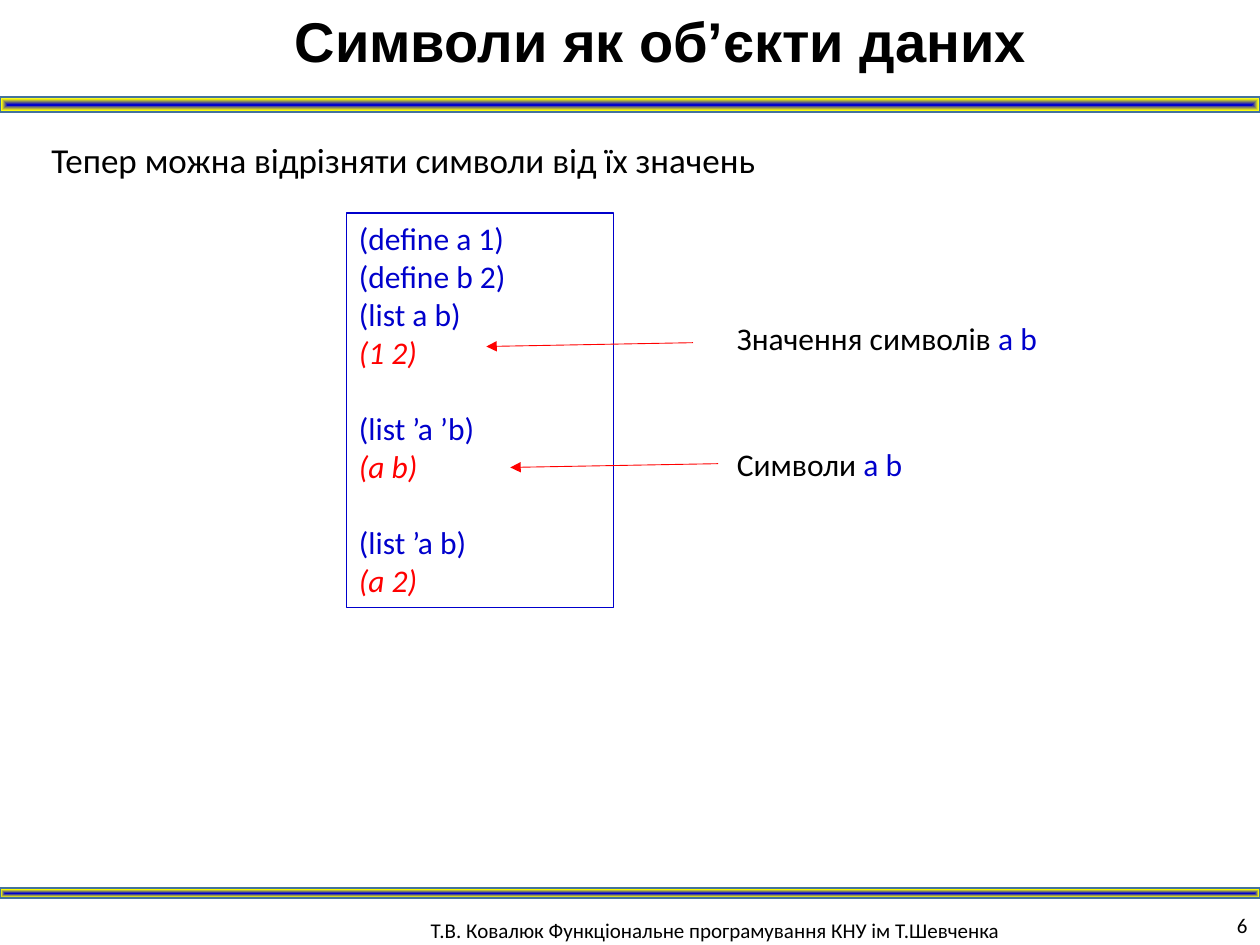
import dataclasses

import pptx
import pptx.dml.color
import pptx.enum.shapes
import pptx.enum.text
import pptx.oxml
import pptx.oxml.ns
import pptx.util

ALIGN = pptx.enum.text.PP_ALIGN
ANCHOR = pptx.enum.text.MSO_ANCHOR
AUTO = pptx.enum.text.MSO_AUTO_SIZE
SHAPE = pptx.enum.shapes.MSO_SHAPE
qn = pptx.oxml.ns.qn

COLUMNS, ROWS = 100, 75  # slide grid, one cell is a tenth of an inch


@dataclasses.dataclass(frozen=True)
class Theme:
    black: str = "000000"
    code: str = "0000CC"
    result: str = "FF0000"
    band_edge: str = "43739E"
    band_stops: tuple = ((0, "0000CC"), (77, "FFFF00"), (100, "CEE1F2"))
    body_font: str = "Calibri"
    title_font: str = "Arial"
    title: int = 32
    lead: int = 20
    text: int = 18
    small: int = 12


THEME = Theme()


def cells(*values):
    return [pptx.util.Inches(v / 10) for v in values]


def rgb(value):
    return pptx.dml.color.RGBColor.from_string(value)


def style(font, size, color=THEME.black, name=THEME.body_font):
    font.size, font.name = pptx.util.Pt(size), name
    font.color.rgb = rgb(color)


def add_text(slide, box, text, size, wrap=True, grow=True, name=THEME.body_font):
    """Add a one-paragraph text box and return its frame and paragraph."""
    tf = slide.shapes.add_textbox(*cells(*box)).text_frame
    tf.word_wrap = wrap
    tf.auto_size = AUTO.SHAPE_TO_FIT_TEXT if grow else AUTO.NONE
    p = tf.paragraphs[0]
    p.add_run().text = text
    style(p.font, size, name=name)
    return tf, p


def add_title(slide, text):
    _, p = add_text(slide, (0, 0, COLUMNS, 6.4), text, THEME.title, name=THEME.title_font)
    p.font.bold = True
    p.alignment = ALIGN.CENTER
    p.space_before = p.space_after = pptx.util.Pt(6)
    p._p.get_or_add_pPr().set("indent", str(pptx.util.Inches(0.49)))


def add_band(slide, top, height):
    """Add a full-width bar with a gradient running from its middle to its edges."""
    s = slide.shapes.add_shape(SHAPE.RECTANGLE, *cells(0, top, COLUMNS, height))
    s.shadow.inherit = False
    s.line.color.rgb = rgb(THEME.band_edge)
    s.line.width = pptx.util.Pt(1)
    s.fill.background()
    stops = "".join(
        f'<a:gs pos="{pos * 1000}"><a:srgbClr val="{color}"/></a:gs>'
        for pos, color in THEME.band_stops
    )
    gradient = pptx.oxml.parse_xml(
        f'<a:gradFill {pptx.oxml.ns.nsdecls("a")} rotWithShape="1"><a:gsLst>{stops}</a:gsLst>'
        '<a:path path="shape"><a:fillToRect l="50000" t="50000" r="50000" b="50000"/></a:path>'
        "</a:gradFill>"
    )
    spPr = s._element.spPr
    spPr.replace(spPr.find(qn("a:noFill")), gradient)


def add_listing(slide, box, groups):
    """Add framed code; the last line of each group is its result."""
    s = slide.shapes.add_shape(SHAPE.RECTANGLE, *cells(*box))
    s.shadow.inherit = False
    s.fill.background()
    s.line.color.rgb = rgb(THEME.code)
    s.line.width = pptx.util.Pt(0.75)
    tf = s.text_frame
    tf.word_wrap = True
    tf.vertical_anchor = ANCHOR.TOP
    p = tf.paragraphs[0]
    for g, lines in enumerate(groups):
        for i, line in enumerate(lines):
            if g or i:
                p = tf.add_paragraph()
            is_result = i == len(lines) - 1
            p.add_run().text = line
            p.alignment = ALIGN.LEFT
            style(p.font, THEME.text, THEME.result if is_result else THEME.code)
            p.font.italic = is_result
            if g and i == 0:
                p.space_before = pptx.util.Pt(22)


def add_note(slide, box, text, symbols):
    _, p = add_text(slide, box, text, THEME.text, wrap=False)
    r = p.add_run()
    r.text = symbols
    r.font.color.rgb = rgb(THEME.code)


def add_arrow(slide, start, end):
    s = slide.shapes.add_connector(
        pptx.enum.shapes.MSO_CONNECTOR.STRAIGHT, *cells(*start, *end)
    )
    s.line.color.rgb = rgb(THEME.result)
    s.line.width = pptx.util.Pt(0.5)
    ln = s.line._get_or_add_ln()
    ln.append(ln.makeelement(qn("a:tailEnd"), {"type": "triangle"}))
    spPr = s._element.spPr
    spPr.append(spPr.makeelement(qn("a:effectLst"), {}))


def main():
    prs = pptx.Presentation()
    prs.slide_width, prs.slide_height = cells(COLUMNS, ROWS)
    slide = prs.slides.add_slide(prs.slide_layouts[6])

    # Footer and bands
    add_text(slide, (33.2, 72.3, 60, 3.2),
             "Т.В. Ковалюк Функціональне програмування КНУ ім Т.Шевченка",
             THEME.small, grow=False)
    add_band(slide, 7.7, 1.2)
    add_band(slide, 70.5, 0.8)
    tf, p = add_text(slide, (93.1, 71.8, 6.9, 3.2), "6", THEME.small, grow=False)
    tf.vertical_anchor = ANCHOR.MIDDLE
    p.alignment = ALIGN.RIGHT

    # Heading and lead sentence
    add_title(slide, "Символи як об’єкти даних")
    add_text(slide, (3.1, 10.5, 94.5, 4.4),
             "Тепер можна відрізняти символи від їх значень", THEME.lead)

    # Code with its results
    add_listing(slide, (27.5, 16.9, 21.2, 31.3), [
        ("(define a 1)", "(define b 2)", "(list a b)", "(1 2)"),
        ("(list ’a ’b)", "(a b)"),
        ("(list ’a b)", "(a 2)"),
    ])

    # Notes pointing at the results
    add_note(slide, (57.5, 24.8, 27.1, 4), "Значення символів ", "a b")
    add_arrow(slide, (55, 27.2), (38.6, 27.5))
    add_note(slide, (57.5, 34.8, 16.2, 4), "Символи ", "a b")
    add_arrow(slide, (57, 36.8), (40.5, 37.1))

    prs.save("out.pptx")


if __name__ == "__main__":
    main()
